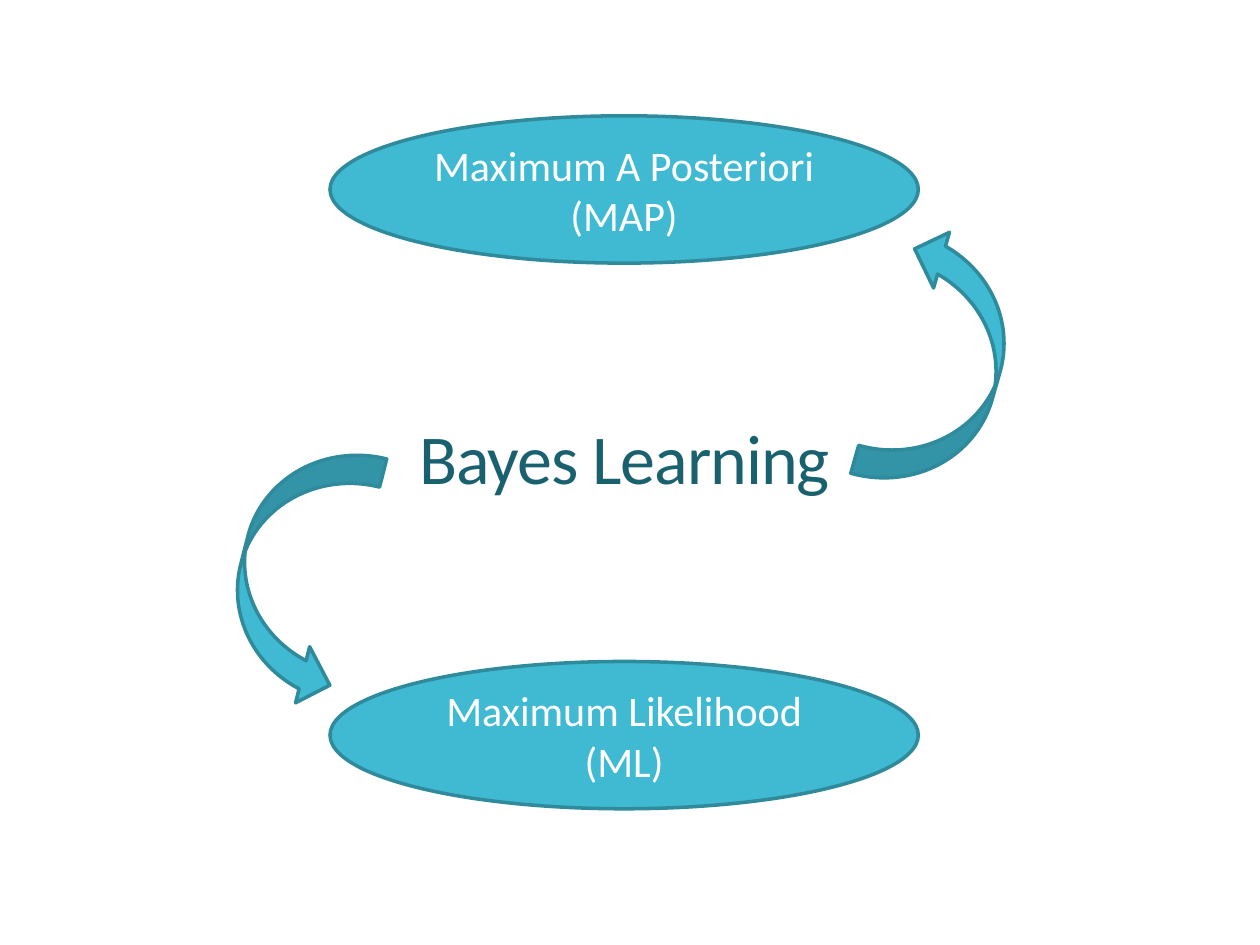
import pptx
import pptx.dml.color
import pptx.enum.shapes
import pptx.enum.text
import pptx.util

Pt = pptx.util.Pt
SHAPES = pptx.enum.shapes.MSO_SHAPE
FILL, OUTLINE, TITLE, WHITE = "40BAD2", "2F8A9B", "1A616F", "FFFFFF"


def color(value):
    return pptx.dml.color.RGBColor.from_string(value)


def set_attributes(target, values):
    for name, value in values.items():
        setattr(target, name, value)


def write_text(shape, text, size, text_color, line_spacing=1.0):
    set_attributes(shape.text_frame, {
        "word_wrap": True,
        "vertical_anchor": pptx.enum.text.MSO_ANCHOR.MIDDLE,
    })
    paragraph = shape.text_frame.paragraphs[0]
    set_attributes(paragraph, {
        "alignment": pptx.enum.text.PP_ALIGN.CENTER,
        "line_spacing": line_spacing,
    })
    run = paragraph.add_run()
    run.text = text
    set_attributes(run.font, {"name": "Calibri", "size": Pt(size)})
    run.font.color.rgb = color(text_color)
    return run


def add_filled_shape(slide, kind, box):
    shape = slide.shapes.add_shape(kind, *map(Pt, box))
    shape.shadow.inherit = False
    shape.fill.solid()
    shape.fill.fore_color.rgb = color(FILL)
    shape.line.color.rgb = color(OUTLINE)
    shape.line.width = Pt(2)
    return shape


def add_title(slide, box):
    shape = slide.shapes.add_textbox(*map(Pt, box))
    run = write_text(shape, "Bayes Learning", 40, TITLE, 0.9)
    run._r.get_or_add_rPr().set("spc", "-60")


def add_method(slide, box, text):
    shape = add_filled_shape(slide, SHAPES.OVAL, box)
    write_text(shape, text, 24, WHITE)


def add_arrow(slide, box, rotation):
    shape = add_filled_shape(slide, SHAPES.CURVED_RIGHT_ARROW, box)
    shape.rotation = rotation


def main():
    presentation = pptx.Presentation()
    set_attributes(presentation, {"slide_width": Pt(720), "slide_height": Pt(540)})
    slide = presentation.slides.add_slide(presentation.slide_layouts[6])
    add_title(slide, (177, 234, 360, 60))
    for top, text in ((66.2, "Maximum A Posteriori (MAP)"), (378, "Maximum Likelihood (ML)")):
        add_method(slide, (188.6, top, 336.2, 84.2), text)
    for left, top, rotation in ((137.5, 252, 14.1), (505.4, 132.5, 195.9)):
        add_arrow(slide, (left, top, 66.2, 149.8), rotation)
    presentation.save("out.pptx")


if __name__ == "__main__":
    main()
